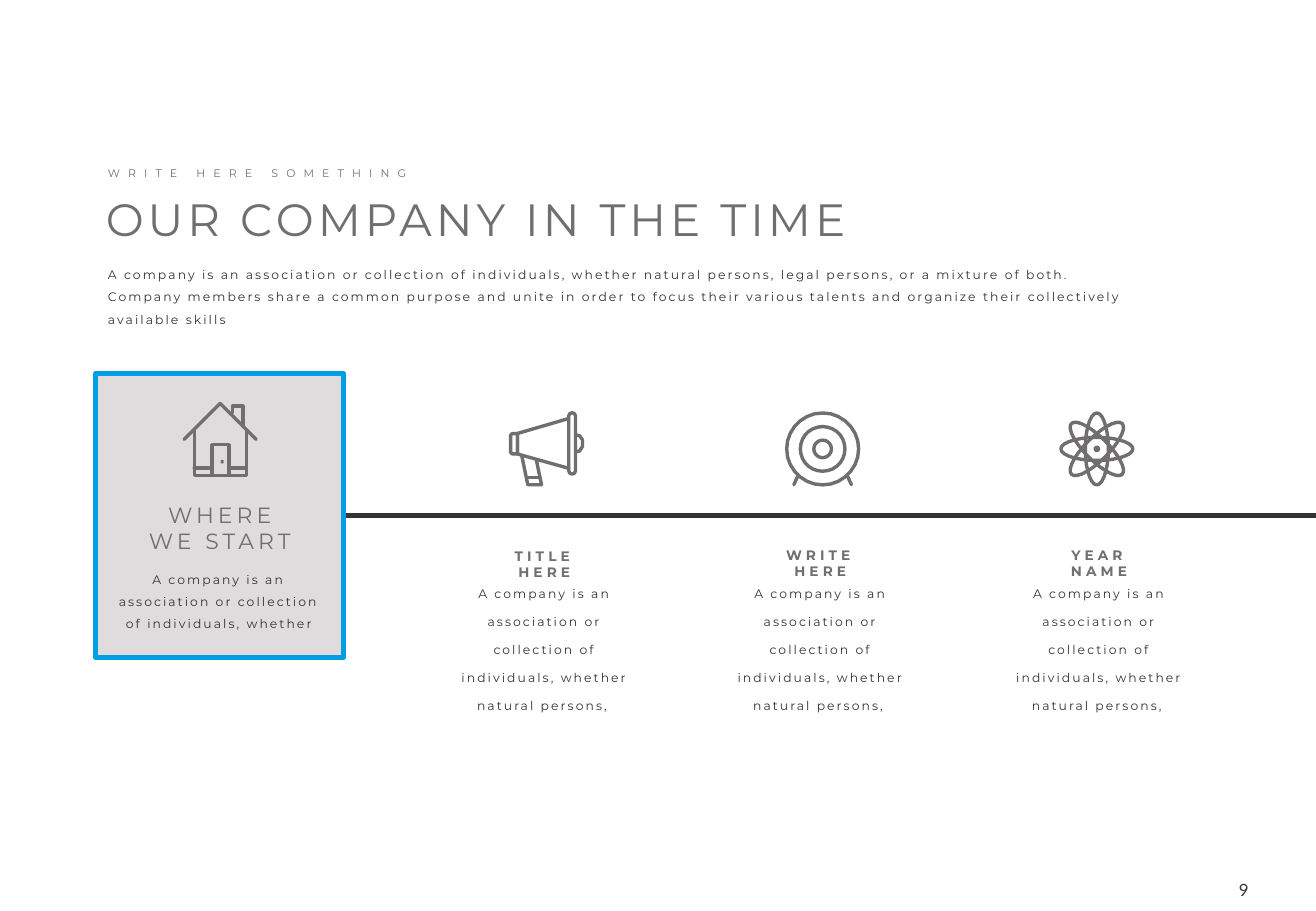
from math import cos, pi, radians, sin

from lxml.etree import SubElement
from pptx import Presentation
from pptx.dml.color import RGBColor
from pptx.enum.shapes import MSO_CONNECTOR as CONN, MSO_SHAPE as SHAPE
from pptx.enum.text import MSO_ANCHOR as ANCHOR, MSO_AUTO_SIZE as AUTO, PP_ALIGN as ALIGN
from pptx.oxml.ns import qn
from pptx.util import Pt

GREY, DARK, PALE, BLUE = "706E6F", "333333", "E0DCDE", "009FE3"
UNIT = 0.072  # icon grid: 620 units across
COMPANY = "A company is an association or collection of individuals, whether"
INTRO = (COMPANY + " natural persons, legal persons, or a mixture of both. Company members "
         "share a common purpose and unite in order to focus their various talents and "
         "organize their collectively available skills")


def ellipse(cx, cy, rx, ry, angle=0, steps=28):
    """Return a closed outline of points on the icon grid."""
    c, s = cos(radians(angle)), sin(radians(angle))
    turns = [2 * pi * i / steps for i in range(steps + 1)]
    return [(cx + rx * cos(t) * c - ry * sin(t) * s,
             cy + rx * cos(t) * s + ry * sin(t) * c) for t in turns]


HOUSE = [
    [(12, 308), (308, 12), (604, 308)],
    [(95, 240), (95, 605), (525, 605), (525, 240)],
    [(410, 90), (410, 35), (495, 35), (495, 190)],
    [(240, 605), (240, 352), (382, 352), (382, 605)],
    [(95, 545), (240, 545)],
    [(382, 545), (525, 545)],
    ellipse(325, 492, 2, 2, steps=4),
]
MEGAPHONE = [
    [(492, 60), (70, 183), (70, 352), (492, 470)],
    [(105, 365), (155, 605), (268, 605), (225, 400)],
    [(145, 545), (255, 545)],
    [(550, 195), (582, 202), (605, 235), (605, 290), (582, 327), (550, 335)],
    [(492, 40), (500, 20), (520, 12), (540, 20), (548, 40), (548, 490),
     (540, 510), (520, 518), (500, 510), (492, 490), (492, 40)],
    [(25, 185), (70, 185), (70, 351), (25, 351), (13, 339), (13, 197), (25, 185)],
]
TARGET = [ellipse(310, 310, radius, radius) for radius in (296, 184, 72)] + [
    [(310 + side * 205, 535), (310 + side * 237, 605)] for side in (-1, 1)]
ATOM = [ellipse(310, 310, 296, 95, angle) for angle in (0, 45, 90, 135)] + [
    ellipse(310, 310, 14, 14, steps=8)]


def paint(color_format, value):
    color_format.rgb = RGBColor.from_string(value)


def write(s, text, size, color=DARK, spc=1.23, align=ALIGN.LEFT, bold=False,
          spacing=None, font="Montserrat", wrap=True, inset=None):
    """Put formatted text into a text box or placeholder."""
    tf = s.text_frame
    tf.text = text
    tf.word_wrap = wrap
    tf.auto_size = AUTO.NONE
    tf.vertical_anchor = ANCHOR.TOP
    if inset is not None:
        tf.margin_left = tf.margin_right = tf.margin_top = tf.margin_bottom = Pt(inset)
    for p in tf.paragraphs:
        p.alignment = align
        p.line_spacing = spacing
        for r in p.runs:
            r.font.name = font
            r.font.size = Pt(size)
            r.font.bold = bold
            paint(r.font.color, color)
            r.font._element.set("spc", str(round(spc * 100)))


def add_text(slide, x, y, w, h, text, size, **style):
    s = slide.shapes.add_textbox(Pt(x), Pt(y), Pt(w), Pt(h))
    write(s, text, size, **style)


def outline(s, color, width):
    """Give a shape a round-joined line and no shadow."""
    s.shadow.inherit = False
    paint(s.line.color, color)
    s.line.width = Pt(width)
    ln = s._element.spPr.find(qn("a:ln"))
    ln.set("cap", "rnd")
    SubElement(ln, qn("a:round"))


def add_icon(slide, x, y, strokes):
    """Draw all strokes of an icon as one shape; x, y is the icon's corner."""
    builder = slide.shapes.build_freeform(*strokes[0][0], scale=Pt(UNIT))
    for start, *points in strokes:
        builder.move_to(*start)
        builder.add_line_segments(points, close=False)
    s = builder.convert_to_shape(Pt(x), Pt(y))
    s.fill.background()
    outline(s, GREY, 2)


def add_start_card(slide):
    """Draw the framed start card with the time line leaving its right side."""
    line = slide.shapes.add_connector(CONN.STRAIGHT, Pt(203.6), Pt(305.6), Pt(780), Pt(305.6))
    paint(line.line.color, DARK)
    line.line.width = Pt(3)
    SubElement(line._element.spPr, qn("a:effectLst"))
    card = slide.shapes.add_shape(SHAPE.RECTANGLE, Pt(56.6), Pt(221.6), Pt(147), Pt(168))
    card.fill.solid()
    paint(card.fill.fore_color, PALE)
    outline(card, BLUE, 3)
    line.begin_connect(card, 3)
    add_text(slide, 78.7, 293.8, 103, 39, "WHERE\nWE START", 13, color=GREY, spc=2.4,
             align=ALIGN.CENTER, wrap=False)
    add_text(slide, 62.6, 331.2, 134, 45, COMPANY, 7.3, align=ALIGN.CENTER, spacing=1.5)
    add_icon(slide, 108.3, 238.3, HOUSE)


def add_milestone(slide, center, title_top, title, icon, icon_x):
    add_text(slide, center - 40.7, title_top, 81, 30, title, 8.1, color=GREY, spc=2.4,
             align=ALIGN.CENTER, bold=True)
    add_text(slide, center - 63.7, 335.8, 127.4, 91, COMPANY + " natural persons, ", 7.3,
             align=ALIGN.CENTER, spacing=Pt(16.7))
    add_icon(slide, icon_x, 243.8, icon)


def main():
    prs = Presentation()
    prs.slide_width, prs.slide_height = Pt(780), Pt(540)
    slide = prs.slides.add_slide(prs.slide_layouts[5])

    title = slide.shapes.title
    title.left, title.top, title.width, title.height = Pt(55.5), Pt(109.8), Pt(493), Pt(40)
    write(title, "OUR COMPANY IN THE TIME", 26.8, color=GREY, spc=2.44)
    add_text(slide, 56.9, 95, 201, 15, "WRITE HERE SOMETHING", 6.5, color=GREY, spc=4.85)
    add_text(slide, 56.9, 150.5, 625.7, 45, INTRO, 7.3, spacing=1.5)

    add_start_card(slide)
    for milestone in (
        (322.8, 321.2, "TITLE HERE", MEGAPHONE, 301.7),
        (486.4, 320.6, "WRITE HERE", TARGET, 465.3),
        (651.6, 320.6, "YEAR NAME", ATOM, 627.8),
    ):
        add_milestone(slide, *milestone)
    add_text(slide, 720.7, 521.3, 19.4, 12.2, "9", 10, font="Lato", spc=0,
             align=ALIGN.RIGHT, inset=0)
    prs.save("out.pptx")


if __name__ == "__main__":
    main()
